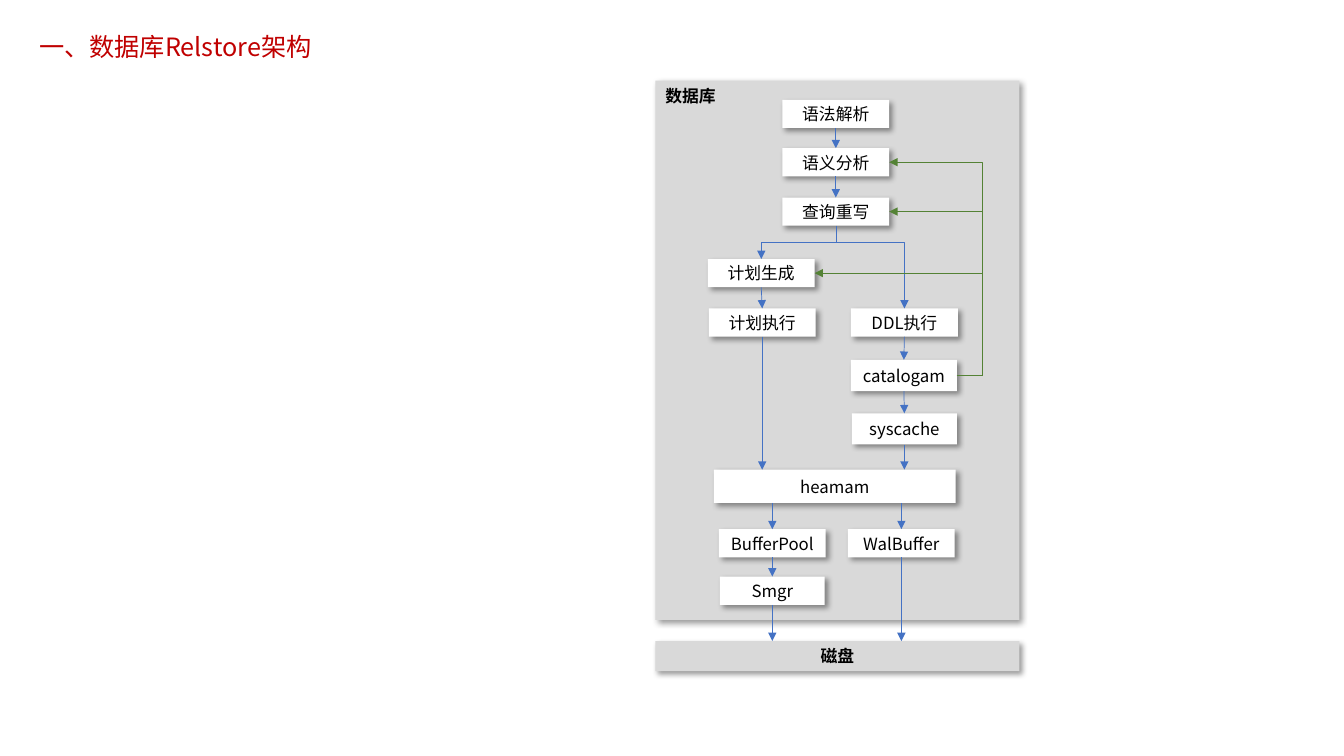
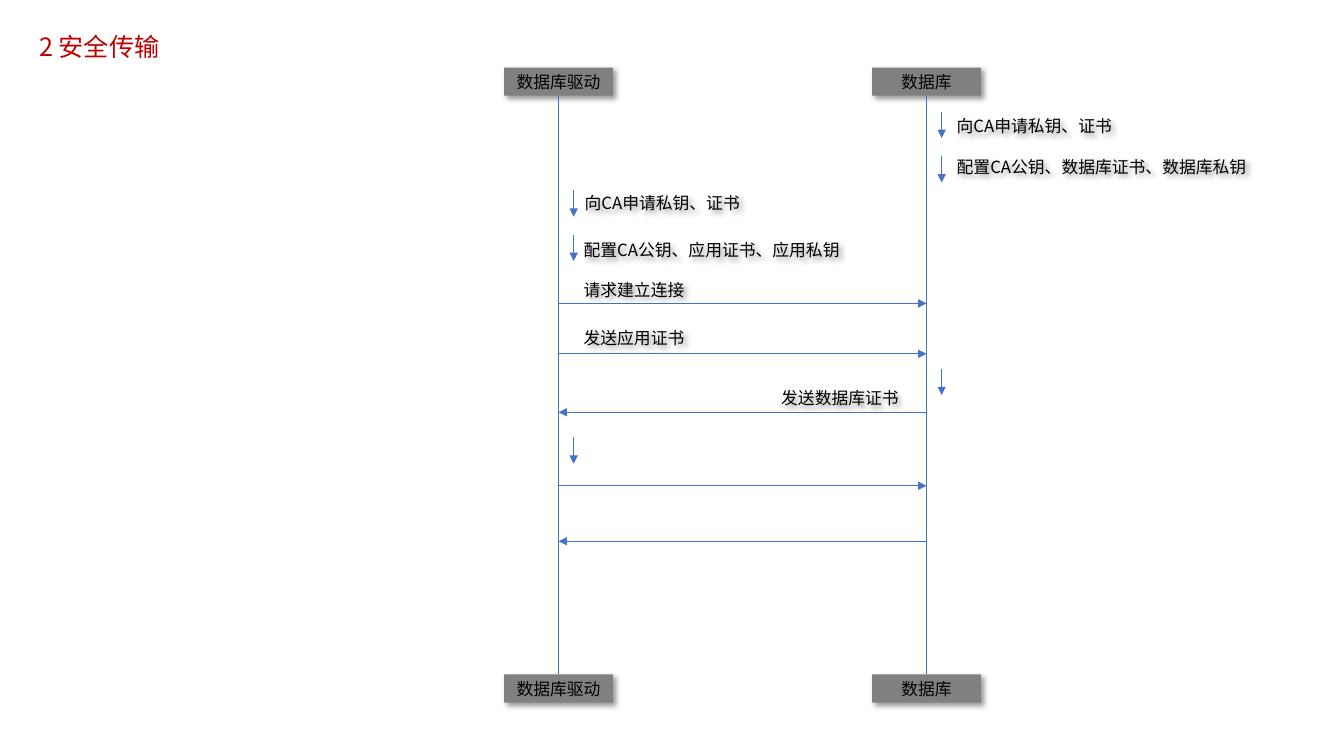
from lxml import etree
from pptx import Presentation
from pptx.dml.color import RGBColor
from pptx.enum.shapes import MSO_CONNECTOR, MSO_SHAPE
from pptx.enum.text import MSO_ANCHOR, PP_ALIGN
from pptx.oxml.ns import qn

RECTANGLE = MSO_SHAPE.RECTANGLE
STRAIGHT, ELBOW = MSO_CONNECTOR.STRAIGHT, MSO_CONNECTOR.ELBOW
TOP, MIDDLE = MSO_ANCHOR.TOP, MSO_ANCHOR.MIDDLE
LEFT, CENTER = PP_ALIGN.LEFT, PP_ALIGN.CENTER
TOP_SITE, BOTTOM_SITE = 0, 2
POINT = 12700

# Lengths are px, 100 to the inch
EMU_PER_PX = 9144
PAGE_SIZE = (1333, 750)

THEME = {
    "font": "Noto Sans CJK SC", "title_size": 18, "body_size": 12,
    "title": "C00000", "text": "000000", "panel": "D9D9D9", "box": "FFFFFF",
    "actor": "808080", "flow": "4472C4", "feedback": "548235",
    "line_width": 0.5,
    "shadow": {"blurRad": 50800, "dist": 38100, "dir": 2700000, "algn": "tl"},
    "shadow_alpha": 40000,
}

# Architecture: panels as (text, area, alignment), stages as text: area
ARCHITECTURE_TITLE = ("一、数据库Relstore架构", 317)
PANELS = [
    ("数据库", (650, 80, 361, 535), LEFT),
    ("磁盘", (650, 636, 361, 30), CENTER),
]
STAGES = {
    "语法解析": (776, 99, 106, 28),
    "语义分析": (776, 147, 106, 28),
    "查询重写": (776, 196, 106, 28),
    "计划生成": (702, 257, 106, 28),
    "计划执行": (703, 306, 106, 28),
    "DDL执行": (844, 306, 106, 28),
    "catalogam": (844, 357, 105, 31),
    "syscache": (845, 410, 104, 31),
    "heamam": (708, 466, 240, 33),
    "BufferPool": (713, 525, 106, 28),
    "WalBuffer": (841, 525, 106, 28),
    "Smgr": (714, 572, 104, 28),
}
FLOWS = [
    ("语法解析", "语义分析"), ("语义分析", "查询重写"),
    ("计划生成", "计划执行"), ("计划执行", "heamam"),
    ("DDL执行", "catalogam"), ("catalogam", "syscache"),
    ("syscache", "heamam"), ("heamam", "BufferPool"),
    ("heamam", "WalBuffer"), ("BufferPool", "Smgr"),
    ("Smgr", "磁盘"), ("WalBuffer", "磁盘"),
]
BRANCH_SOURCE, BRANCH_TARGETS, BRANCH_Y = "查询重写", ["DDL执行", "计划生成"], 240
FEEDBACK_SOURCE, FEEDBACK_X = "catalogam", 974
FEEDBACK_TARGETS = ["语义分析", "查询重写", "计划生成"]

# Secure transport: lifelines by x, steps as (lifeline, top),
# messages as (from, to, y), notes as (text, area)
TRANSPORT_TITLE = ("2 安全传输", 186)
DRIVER, DATABASE = "数据库驱动", "数据库"
LIFELINES = {DRIVER: 554, DATABASE: 919}
ACTOR_TOPS, ACTOR_WIDTH, ACTOR_HEIGHT = (67, 669), 108, 28
STEP_OFFSET, STEP_LENGTH = 15, 26
STEPS = [
    (DATABASE, 111), (DATABASE, 155), (DRIVER, 189),
    (DRIVER, 233), (DATABASE, 366), (DRIVER, 434),
]
MESSAGES = [
    (DRIVER, DATABASE, 301), (DRIVER, DATABASE, 351),
    (DATABASE, DRIVER, 409), (DRIVER, DATABASE, 482),
    (DATABASE, DRIVER, 537),
]
NOTES = [
    ("向CA申请私钥、证书", (939, 111, 177, 28)),
    ("配置CA公钥、数据库证书、数据库私钥", (939, 146, 316, 38)),
    ("向CA申请私钥、证书", (570, 187, 177, 28)),
    ("配置CA公钥、应用证书、应用私钥", (569, 229, 316, 38)),
    ("请求建立连接", (569, 268, 128, 38)),
    ("发送应用证书", (569, 316, 128, 38)),
    ("发送数据库证书", (765, 376, 140, 38)),
]


def px(*lengths):
    return [round(length * EMU_PER_PX) for length in lengths]


def color(name):
    return RGBColor.from_string(THEME[name])


def center_x(area):
    return area[0] + area[2] / 2


def right_middle(area):
    return area[0] + area[2], area[1] + area[3] / 2


def add_child(parent, tag, **values):
    child = etree.SubElement(parent, qn(tag))
    for name, value in values.items():
        child.set(name, str(value))
    return child


# Text and boxes
def write(box, text, align=CENTER, anchor=MIDDLE, size="body_size",
          ink="text", bold=False, wrap=True):
    frame = box.text_frame
    frame.word_wrap, frame.vertical_anchor = wrap, anchor
    para = frame.paragraphs[0]
    para.alignment = align
    span = para.add_run()
    span.text = text
    formats = {"name": THEME["font"], "size": THEME[size] * POINT, "bold": bold}
    for name, value in formats.items():
        setattr(span.font, name, value)
    span.font.color.rgb = color(ink)
    add_child(span.font._element, "a:ea", typeface=THEME["font"])


def add_shadow(box):
    effects = add_child(box._element.spPr, "a:effectLst")
    shadow = add_child(effects, "a:outerShdw", **THEME["shadow"], rotWithShape=0)
    tint = add_child(shadow, "a:srgbClr", val=THEME["text"])
    add_child(tint, "a:alpha", val=THEME["shadow_alpha"])


def add_box(page, text, area, fill, **style):
    box = page.shapes.add_shape(RECTANGLE, *px(*area))
    box.fill.solid()
    box.fill.fore_color.rgb = color(fill)
    box.line.fill.background()
    add_shadow(box)
    write(box, text, **style)
    return box


def add_note(page, text, area):
    note = page.shapes.add_textbox(*px(*area))
    note.fill.background()
    add_shadow(note)
    write(note, text, align=LEFT)


def add_page(deck, title, width):
    page = deck.slides.add_slide(deck.slide_layouts[6])
    box = page.shapes.add_textbox(*px(29, 26, width, 40))
    write(box, title, align=LEFT, anchor=TOP, size="title_size",
          ink="title", wrap=False)
    return page


# Lines and arrows
def add_line(page, start, end, ink="flow", kind=STRAIGHT, arrow=True):
    line = page.shapes.add_connector(kind, *px(*start, *end))
    line.line.color.rgb = color(ink)
    line.line.width = round(THEME["line_width"] * POINT)
    if arrow:
        add_child(line.line._ln, "a:tailEnd", type="triangle")
    add_child(line._element.spPr, "a:effectLst")
    return line


def set_bend(line, share):
    guides = line._element.spPr.find(qn("a:prstGeom")).find(qn("a:avLst"))
    add_child(guides, "a:gd", name="adj1", fmla=f"val {round(share * 100000)}")


def add_feedback(page, start, end, lane_x):
    line = add_line(page, start, end, "feedback", ELBOW)
    set_bend(line, (lane_x - start[0]) / (end[0] - start[0]))


def add_branch(page, start, end, lane_y):
    """An elbow that leaves downwards is a sideways elbow turned by 90 or 270."""
    middle_x, middle_y = (start[0] + end[0]) / 2, (start[1] + end[1]) / 2
    half_run, half_drop = abs(end[0] - start[0]) / 2, (end[1] - start[1]) / 2
    side = 1 if end[0] > start[0] else -1
    line = add_line(page, (middle_x + side * half_drop, middle_y - half_run),
                    (middle_x - side * half_drop, middle_y + half_run), kind=ELBOW)
    line._element.spPr.xfrm.set("rot", str((180 + side * 90) * 60000))
    set_bend(line, (lane_y - start[1]) / (end[1] - start[1]))


def add_flow(page, source, target, areas, boxes):
    upper, lower = areas[source], areas[target]
    narrow = min(upper, lower, key=lambda area: area[2])
    wide = max(upper[2], lower[2]) > 2 * narrow[2]
    start_x, end_x = [center_x(narrow if wide else area) for area in (upper, lower)]
    line = add_line(page, (start_x, upper[1] + upper[3]), (end_x, lower[1]))
    if not wide:
        line.begin_connect(boxes[source], BOTTOM_SITE)
        line.end_connect(boxes[target], TOP_SITE)


# Slides
def build_architecture(deck):
    page = add_page(deck, *ARCHITECTURE_TITLE)
    areas, boxes = dict(STAGES), {}
    for text, area, align in PANELS:
        areas[text] = area
        add_box(page, text, area, "panel", align=align, anchor=TOP, bold=True)
    for text, area in STAGES.items():
        boxes[text] = add_box(page, text, area, "box")
    source = areas[BRANCH_SOURCE]
    for target in BRANCH_TARGETS:
        add_branch(page, (center_x(source), source[1] + source[3]),
                   (center_x(areas[target]), areas[target][1]), BRANCH_Y)
    for source, target in FLOWS:
        add_flow(page, source, target, areas, boxes)
    for target in FEEDBACK_TARGETS:
        add_feedback(page, right_middle(areas[FEEDBACK_SOURCE]),
                     right_middle(areas[target]), FEEDBACK_X)


def build_transport(deck):
    page = add_page(deck, *TRANSPORT_TITLE)
    first_top, last_top = ACTOR_TOPS
    for actor, x in LIFELINES.items():
        for top in ACTOR_TOPS:
            area = (x - ACTOR_WIDTH / 2, top, ACTOR_WIDTH, ACTOR_HEIGHT)
            add_box(page, actor, area, "actor")
        add_line(page, (x, first_top + ACTOR_HEIGHT), (x, last_top), arrow=False)
    for actor, top in STEPS:
        x = LIFELINES[actor] + STEP_OFFSET
        add_line(page, (x, top), (x, top + STEP_LENGTH))
    for sender, receiver, y in MESSAGES:
        add_line(page, (LIFELINES[sender], y), (LIFELINES[receiver], y))
    for text, area in NOTES:
        add_note(page, text, area)


def main():
    deck = Presentation()
    deck.slide_width, deck.slide_height = px(*PAGE_SIZE)
    build_architecture(deck)
    build_transport(deck)
    deck.save("out.pptx")


if __name__ == "__main__":
    main()
